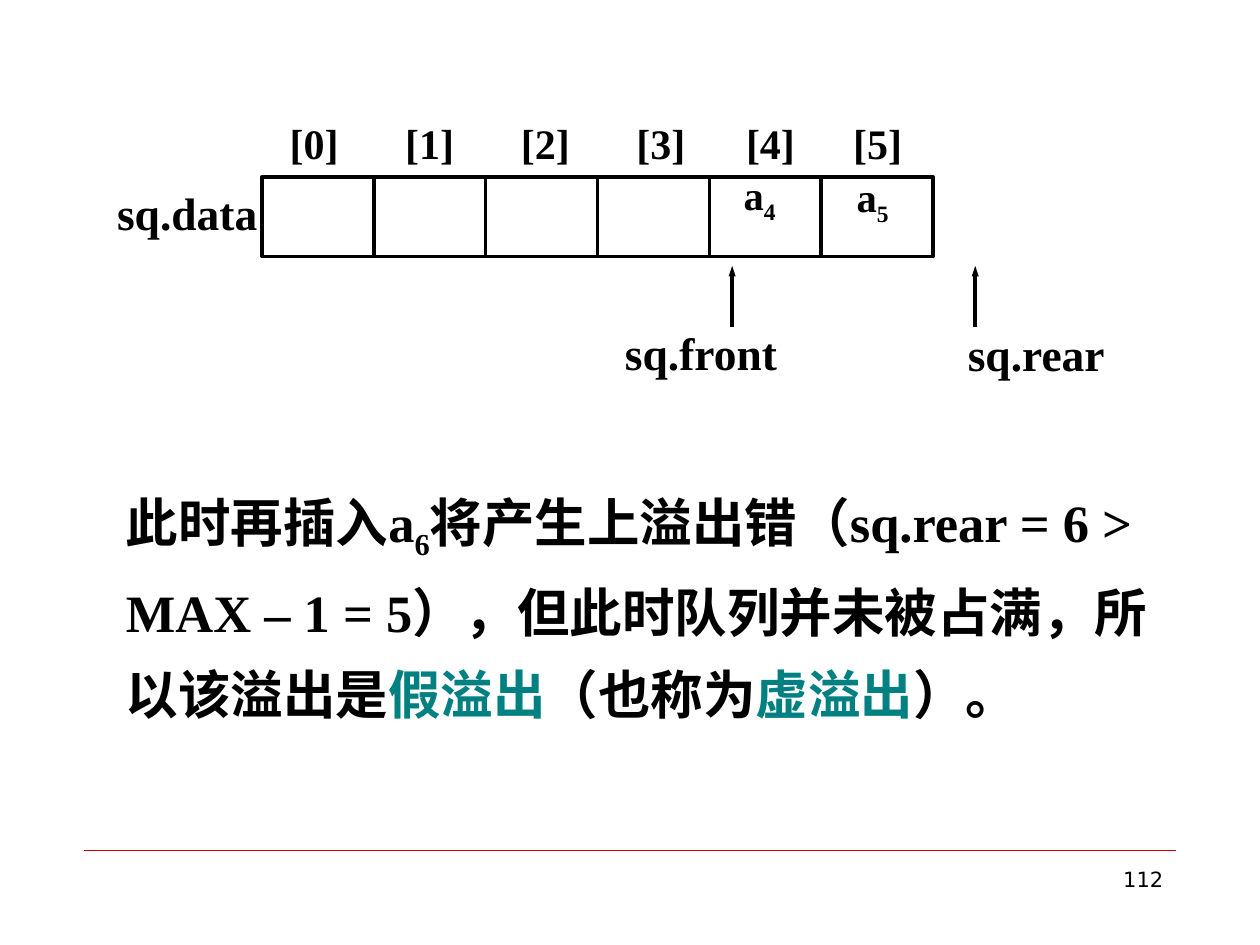
from typing import NamedTuple

from lxml import etree
from pptx import Presentation
from pptx import util as u
from pptx.dml.color import RGBColor
from pptx.enum import shapes, text
from pptx.oxml.ns import qn

HUES = {"ink": "000000", "paper": "FFFFFF", "teal": "008080", "red": "CC0000"}
SERIF = "Times New Roman"
ALIGN = text.PP_ALIGN


class Run(NamedTuple):
    words: str
    hue: str = "ink"
    sub: bool = False


class Label(NamedTuple):
    left: float
    top: float
    width: float
    height: float
    size: float
    runs: list[Run]
    align: text.PP_ALIGN = ALIGN.JUSTIFY
    space: float = 1.0
    inset: bool = False
    font: str = SERIF
    bold: bool = True


class Link(NamedTuple):
    x1: float
    y1: float
    x2: float
    y2: float
    hue: str
    size: float
    arrow: bool = False


def paint(name: str) -> RGBColor:
    return RGBColor.from_string(HUES[name])


def write(slide, item: Label) -> None:
    box = slide.shapes.add_textbox(
        u.Cm(item.left), u.Cm(item.top), u.Cm(item.width), u.Cm(item.height))
    frame = box.text_frame
    frame.word_wrap = True
    if not item.inset:
        frame.margin_left = frame.margin_right = 0
        frame.margin_top = frame.margin_bottom = 0
    para = frame.paragraphs[0]
    para.alignment = item.align
    para.line_spacing = item.space
    for part in item.runs:
        run = para.add_run()
        run.text = part.words
        run.font.name = item.font
        run.font.size = u.Pt(item.size)
        run.font.bold = item.bold
        run.font.color.rgb = paint(part.hue)
        if part.sub:
            run._r.get_or_add_rPr().set("baseline", "-25000")


def join(slide, item: Link) -> None:
    line = slide.shapes.add_connector(
        shapes.MSO_CONNECTOR.STRAIGHT,
        u.Cm(item.x1), u.Cm(item.y1), u.Cm(item.x2), u.Cm(item.y2))
    line.line.color.rgb = paint(item.hue)
    line.line.width = u.Pt(item.size)
    if item.arrow:
        etree.SubElement(line.line._get_or_add_ln(), qn("a:tailEnd"),
                         type="triangle", w="sm", len="med")
    etree.SubElement(line._element.spPr, qn("a:effectLst"))


def cell(slide, left: float, top: float, width: float, height: float) -> None:
    box = slide.shapes.add_shape(
        shapes.MSO_SHAPE.RECTANGLE,
        u.Cm(left), u.Cm(top), u.Cm(width), u.Cm(height))
    box.shadow.inherit = False
    box.fill.solid()
    box.fill.fore_color.rgb = paint("paper")
    box.line.color.rgb = paint("ink")
    box.line.width = u.Pt(2)


def main() -> None:
    deck = Presentation()
    deck.slide_width, deck.slide_height = u.Cm(25.4), u.Cm(19.05)
    slide = deck.slides.add_slide(deck.slide_layouts[6])

    join(slide, Link(1.7, 17.15, 23.7, 17.15, "red", 0.25))
    write(slide, Label(18.2, 17.35, 5.5, 1.32, 12, [Run("112")], ALIGN.RIGHT,
                       inset=True, font="DejaVu Sans", bold=False))

    wide = 2.255
    for i in range(6):
        cell(slide, 5.28 + i * wide, 3.57, wide, 1.6)
    marks = [5.84 + 2.33 * i for i in range(4)] + [15.04, 17.2]
    for i, left in enumerate(marks):
        write(slide, Label(left, 2.36, 1.4, 1.17, 24, [Run(f"[{i}]")]))
    for i, left, top in (("4", 14.99, 3.53), ("5", 17.27, 3.56)):
        write(slide, Label(left, top, 1.6, 1.17, 23.2,
                           [Run("a"), Run(i, sub=True)], space=0.8))

    write(slide, Label(2.11, 3.61, 3.81, 1.37, 26, [Run("sq.data")],
                       ALIGN.LEFT, inset=True))
    for name, left, top, tip in (("sq.front", 12.6, 6.55, 14.76),
                                 ("sq.rear", 19.51, 6.58, 19.66)):
        write(slide, Label(left, top, 3.2, 1.35, 26, [Run(name)]))
        join(slide, Link(tip, 6.6, tip, 5.36, "ink", 2, True))

    write(slide, Label(2.29, 9.32, 21.41, 5.44, 30, [
        Run("此时再插入a"),
        Run("6", sub=True),
        Run("将产生上溢出错（sq.rear = 6 > MAX – 1 = 5），"
            "但此时队列并未被占满，所以该溢出是"),
        Run("假溢出", "teal"),
        Run("（也称为"),
        Run("虚溢出", "teal"),
        Run("）。"),
    ], ALIGN.LEFT, 1.3, inset=True))

    deck.save("out.pptx")


if __name__ == "__main__":
    main()
